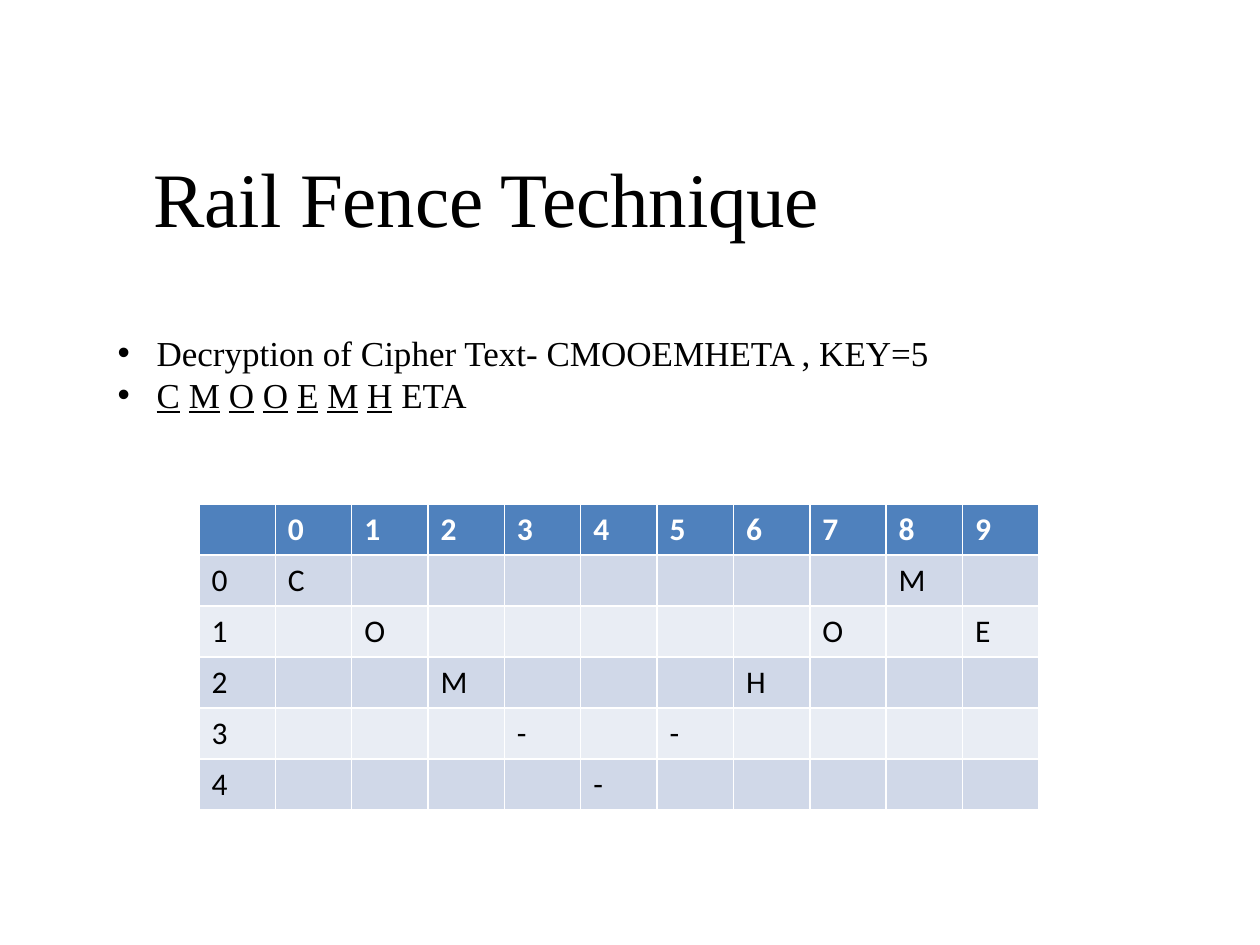
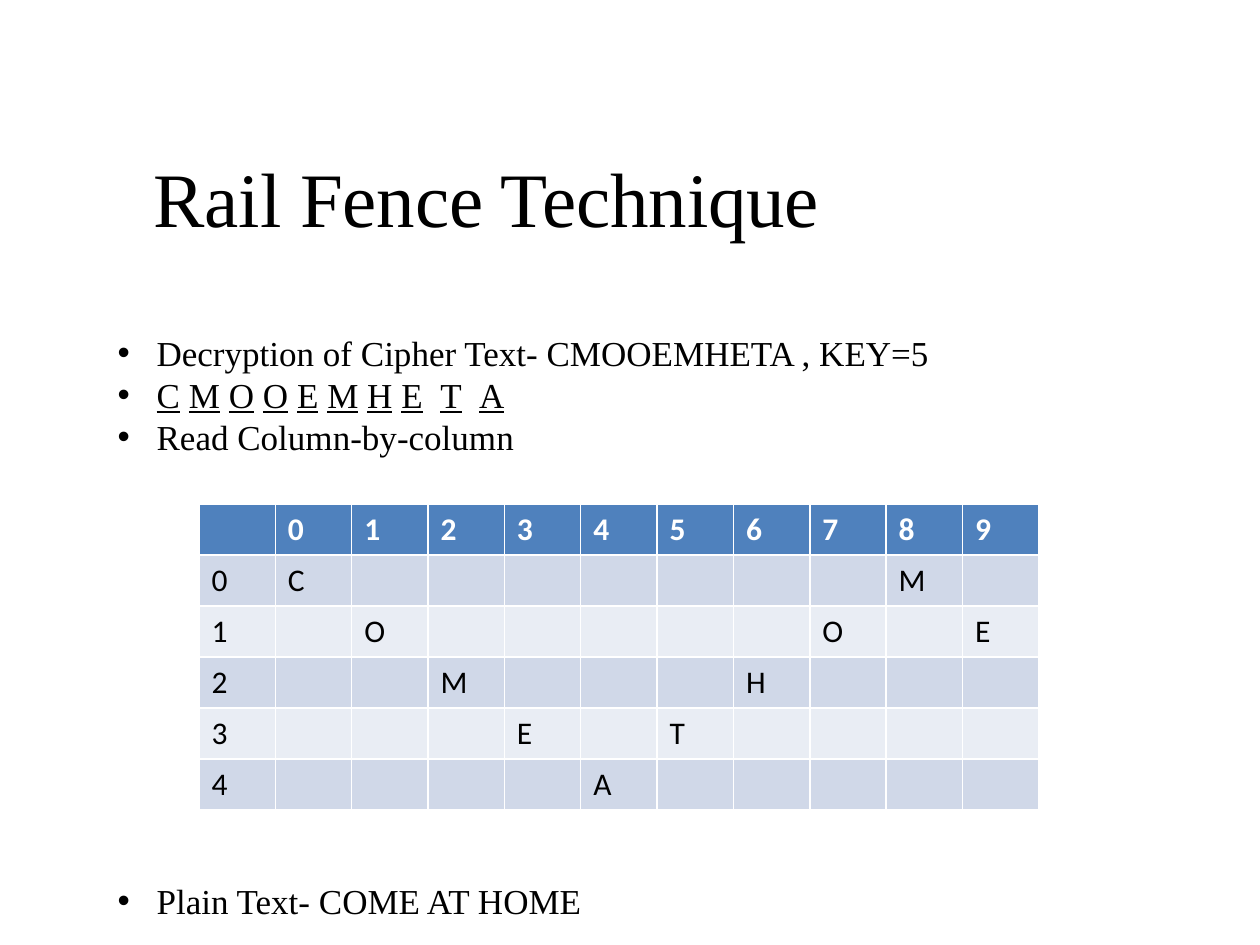
import dataclasses

import lxml.etree
import pptx
import pptx.dml.color
import pptx.enum.text
import pptx.oxml.ns
import pptx.util

# Content
TITLE = "Rail Fence Technique"
CIPHER_TEXT = "CMOOEMHETA"
KEY = 5
INTRODUCTION = f"Decryption of Cipher Text- {CIPHER_TEXT} , KEY={KEY}"
STEPS = [
    {
        "cipher_words": ["C", "M", "O", "O", "E", "M", "H", "ETA"],
        "wide_gaps": 0,
        "instructions": [],
        "result": None,
        "fence_letters": "COM---HOME",
        "list_height": 97,
    },
    {
        "cipher_words": list(CIPHER_TEXT),
        "wide_gaps": 2,
        "instructions": ["Read Column-by-column"],
        "result": "Plain Text- COME AT HOME",
        "fence_letters": "COMEATHOME",
        "list_height": 606,
    },
]

# Geometry in px
EMU_PER_PX = 914400 // 126
SLIDE_SIZE = (1260, 945)
TITLE_BOX = (126, 157, 721, 79)
LIST_LEFT, LIST_TOP, LIST_WIDTH = 105, 325, 1112
LIST_INDENT = 39
TABLE_LEFT, TABLE_TOP, TABLE_WIDTH, ROW_HEIGHT = 199, 504, 840, 51


@dataclasses.dataclass(frozen=True)
class Theme:
    text: str = "000000"
    header_text: str = "FFFFFF"
    header_fill: str = "4F81BD"
    bands: tuple = ("D0D8E8", "E9EDF4")
    text_font: str = "Times New Roman"
    table_font: str = "Calibri"
    title_size: int = 44
    list_size: int = 20
    table_size: int = 18
    line_height: int = 24
    result_gap: int = 241  # room for the table above the result
    title_tracking: float = -0.1
    wide_gap_tracking: float = 5


THEME = Theme()


def px(length):
    return pptx.util.Emu(length * EMU_PER_PX)


def rgb(code):
    return pptx.dml.color.RGBColor.from_string(code)


def place(shape, left, top, width, height):
    shape.left, shape.top, shape.width, shape.height = map(px, (left, top, width, height))
    shape.text_frame.word_wrap = True
    shape.text_frame.auto_size = pptx.enum.text.MSO_AUTO_SIZE.SHAPE_TO_FIT_TEXT


def style_font(font, name, size, color, bold=False):
    font.name, font.size, font.bold = name, pptx.util.Pt(size), bold
    font.color.rgb = rgb(color)


def track(run, points):
    run._r.get_or_add_rPr().set("spc", str(round(points * 100)))


def add_title(slide):
    title = slide.shapes.title
    place(title, *TITLE_BOX)
    frame = title.text_frame
    frame.text = TITLE
    frame.margin_left = frame.margin_right = frame.margin_bottom = 0
    frame.margin_top = px(1)
    frame.vertical_anchor = pptx.enum.text.MSO_ANCHOR.MIDDLE
    paragraph = frame.paragraphs[0]
    paragraph.alignment = pptx.enum.text.PP_ALIGN.CENTER
    run = paragraph.runs[0]
    style_font(run.font, THEME.text_font, THEME.title_size, THEME.text)
    track(run, THEME.title_tracking)


def format_bullet(paragraph, space_before=0):
    properties = paragraph._p.get_or_add_pPr()
    properties.set("marL", str(px(LIST_INDENT)))
    properties.set("indent", str(-px(LIST_INDENT)))
    for tag, name, value in (("a:buFont", "typeface", "Arial"), ("a:buChar", "char", "•")):
        element = lxml.etree.SubElement(properties, pptx.oxml.ns.qn(tag))
        element.set(name, value)
    paragraph.alignment = pptx.enum.text.PP_ALIGN.JUSTIFY
    paragraph.line_spacing = pptx.util.Pt(THEME.line_height)
    paragraph.space_before = pptx.util.Pt(space_before)
    for run in paragraph.runs:
        style_font(run.font, THEME.text_font, THEME.list_size, THEME.text)


def add_cipher_words(paragraph, words, wide_gaps):
    """Underline the letters already placed, leaving longer words plain."""
    for index, word in enumerate(words):
        if index:
            gap = paragraph.add_run()
            gap.text = " "
            if index >= len(words) - wide_gaps:
                track(gap, THEME.wide_gap_tracking)
        run = paragraph.add_run()
        run.text = word
        run.font.underline = len(word) == 1


def add_list(slide, step):
    body = slide.placeholders[1]
    place(body, LIST_LEFT, LIST_TOP, LIST_WIDTH, step["list_height"])
    frame = body.text_frame
    frame.text = INTRODUCTION
    add_cipher_words(frame.add_paragraph(), step["cipher_words"], step["wide_gaps"])
    for instruction in step["instructions"]:
        frame.add_paragraph().text = instruction
    for paragraph in frame.paragraphs:
        format_bullet(paragraph)
    if step["result"]:
        paragraph = frame.add_paragraph()
        paragraph.text = step["result"]
        format_bullet(paragraph, THEME.result_gap)


def fence_rows(letters):
    """Header row, then one row per rail with the letters in a zigzag."""
    rows = [[""] + [str(column) for column in range(len(letters))]]
    rows += [[str(rail)] + [""] * len(letters) for rail in range(KEY)]
    turn = KEY - 1
    for column, letter in enumerate(letters):
        rail = turn - abs(turn - column % (2 * turn))
        rows[rail + 1][column + 1] = letter
    return rows


def add_fence_table(slide, letters):
    rows = fence_rows(letters)
    frame = slide.shapes.add_table(
        len(rows), len(rows[0]), px(TABLE_LEFT), px(TABLE_TOP),
        px(TABLE_WIDTH), px(ROW_HEIGHT * len(rows)))
    for row_index, row in enumerate(rows):
        header = row_index == 0
        fill = THEME.header_fill if header else THEME.bands[(row_index - 1) % 2]
        color = THEME.header_text if header else THEME.text
        for column_index, text in enumerate(row):
            cell = frame.table.cell(row_index, column_index)
            cell.fill.solid()
            cell.fill.fore_color.rgb = rgb(fill)
            cell.text = text
            for run in cell.text_frame.paragraphs[0].runs:
                style_font(run.font, THEME.table_font, THEME.table_size, color, header)


def main():
    presentation = pptx.Presentation()
    presentation.slide_width, presentation.slide_height = map(px, SLIDE_SIZE)
    for step in STEPS:
        slide = presentation.slides.add_slide(presentation.slide_layouts[1])
        add_title(slide)
        add_list(slide, step)
        add_fence_table(slide, step["fence_letters"])
    presentation.save("out.pptx")


if __name__ == "__main__":
    main()
